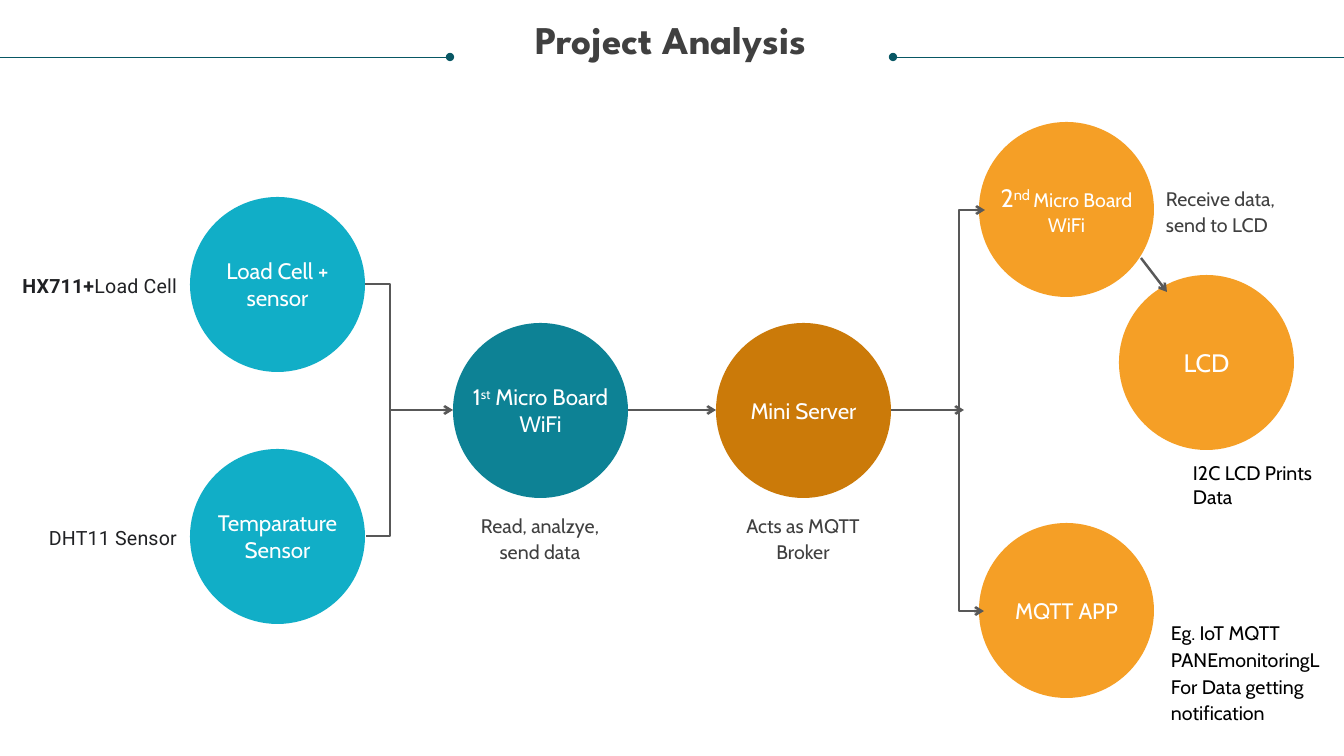
from lxml.etree import SubElement
from pptx import Presentation
from pptx.dml.color import RGBColor
from pptx.enum.shapes import MSO_CONNECTOR, MSO_SHAPE
from pptx.enum.text import MSO_ANCHOR, PP_ALIGN
from pptx.oxml.ns import qn
from pptx.util import Pt

EMU_PER_PX = 914400 / 100.8
COLORS = {
    "title": "404040", "rule": "085764", "arrow": "585858",
    "sensor": "11AEC7", "reader": "0D8295", "broker": "CB7A09",
    "output": "F59F26", "white": "FFFFFF", "black": "000000", "ink": "202124",
}
DIAMETER = 175
LABEL_INSET = 12


def px(length):
    """Turn whole pixels into EMU."""
    return round(length * EMU_PER_PX)


def color(name):
    """Look up a named colour."""
    return RGBColor.from_string(COLORS[name])


def write(shape, runs, size=14, font="Cabin", ink="title", bold=False,
          align=PP_ALIGN.CENTER, anchor=MSO_ANCHOR.MIDDLE, leading=None, tracking=None):
    """Fill a shape with one paragraph of (text, overrides) runs."""
    frame = shape.text_frame
    frame.word_wrap = True
    frame.vertical_anchor = anchor
    frame.margin_left = frame.margin_right = frame.margin_top = frame.margin_bottom = 0
    paragraph = frame.paragraphs[0]
    paragraph.alignment = align
    if leading:
        paragraph.line_spacing = leading
    for words, change in [(runs, {})] if isinstance(runs, str) else runs:
        run = paragraph.add_run()
        run.text = words
        run.font.name = font
        run.font.size = Pt(change.get("size", size))
        run.font.bold = change.get("bold", bold)
        run.font.color.rgb = color(ink)
        properties = run.font._element
        if "raised" in change:
            properties.set("baseline", "30000")
        if tracking:
            properties.set("spc", str(tracking))


class Diagram:
    """Holds the slide and draws its elements."""

    def __init__(self, slide):
        """Keep the slide to draw on."""
        self.shapes = slide.shapes

    def text(self, left, top, width, height, runs, **style):
        """Add a text box."""
        box = self.shapes.add_textbox(px(left), px(top), px(width), px(height))
        write(box, runs, **style)

    def circle(self, left, top, fill):
        """Add a plain filled circle."""
        disc = self.shapes.add_shape(
            MSO_SHAPE.OVAL, px(left), px(top), px(DIAMETER), px(DIAMETER))
        disc.shadow.inherit = False
        disc.fill.solid()
        disc.fill.fore_color.rgb = color(fill)
        disc.line.fill.background()
        return disc

    def node(self, left, top, fill, runs, size=16):
        """Add a circle with a label centred over it."""
        self.circle(left, top, fill)
        self.text(left + LABEL_INSET, top + 60, DIAMETER - 2 * LABEL_INSET,
                  DIAMETER - 120, runs, size=size, ink="white")

    def line(self, start, end, ink="arrow", weight=1.75, head=None, tail=None, bend=None):
        """Add a straight line, or an elbow whose bend is a multiple of its width."""
        kind = MSO_CONNECTOR.ELBOW if bend else MSO_CONNECTOR.STRAIGHT
        link = self.shapes.add_connector(kind, *map(px, start + end))
        link.line.color.rgb = color(ink)
        link.line.width = Pt(weight)
        properties = link._element.spPr
        outline = properties.find(qn("a:ln"))
        for tag, tip in (("a:headEnd", head), ("a:tailEnd", tail)):
            if tip:
                SubElement(outline, qn(tag), type=tip)
        if bend:
            guides = properties.find(qn("a:prstGeom")).find(qn("a:avLst"))
            SubElement(guides, qn("a:gd"), name="adj1", fmla=f"val {bend * 100000}")
        SubElement(properties, qn("a:effectLst"))


def main():
    """Build the slide and save it."""
    deck = Presentation()
    deck.slide_width, deck.slide_height = px(1344), px(756)
    diagram = Diagram(deck.slides.add_slide(deck.slide_layouts[6]))

    diagram.line((893, 57), (1344, 57), ink="rule", weight=0.5, head="oval")
    diagram.line((0, 57), (450, 57), ink="rule", weight=0.5, tail="oval")
    diagram.text(25, 21, 1292, 86, "Project Analysis", size=28, font="League Spartan",
                 bold=True, anchor=MSO_ANCHOR.TOP, leading=0.9)

    sensors, reader, broker, outputs = (190 + 263 * column for column in range(4))
    raised = {"raised": True}
    for left, top, fill, label, size in (
        (sensors, 197, "sensor", "Load Cell + sensor", 16),
        (sensors, 449, "sensor", "Temparature Sensor", 16),
        (reader, 323, "reader", [("1", {}), ("st", raised), (" Micro Board WiFi", {})], 16),
        (broker, 323, "broker", "Mini Server", 16),
        (outputs, 122, "output",
         [("2", {}), ("nd ", raised), ("Micro Board WiFi", {"size": 14})], 18),
        (outputs, 523, "output", "MQTT APP", 16),
    ):
        diagram.node(left, top, fill, label, size)
    write(diagram.circle(1119, 275, "output"), "LCD", size=18, ink="white")

    diagram.line((365, 284), (366, 536), bend=25)
    diagram.line((985, 210), (984, 611), head="arrow", tail="arrow", bend=26)
    for start, end in (
        ((390, 410), (453, 410)),
        ((628, 410), (716, 410)),
        ((891, 410), (964, 410)),
        ((1141, 258), (1167, 292)),
    ):
        diagram.line(start, end, tail="arrow")

    note = {"leading": Pt(19)}
    left_note = {**note, "align": PP_ALIGN.LEFT}
    part = {**note, "align": PP_ALIGN.RIGHT, "font": "Roboto", "ink": "ink", "tracking": 10}
    diagram.text(466, 511, 148, 52, "Read, analzye, send data", **note)
    diagram.text(729, 511, 148, 52, "Acts as MQTT Broker", **note)
    diagram.text(1166, 184, 148, 52, "Receive data, send to LCD", **left_note)
    diagram.text(1171, 619, 167, 105,
                 "Eg. IoT MQTT PANEmonitoringL For Data getting notification",
                 ink="black", **left_note)
    diagram.text(1193, 461, 124, 48, "I2C LCD Prints Data", ink="black",
                 align=PP_ALIGN.LEFT, anchor=MSO_ANCHOR.TOP)
    diagram.text(15, 272, 162, 25, [("HX711+", {"bold": True}), ("Load Cell", {})], **part)
    diagram.text(15, 524, 162, 25, "DHT11 Sensor", **part)

    deck.save("out.pptx")


if __name__ == "__main__":
    main()
